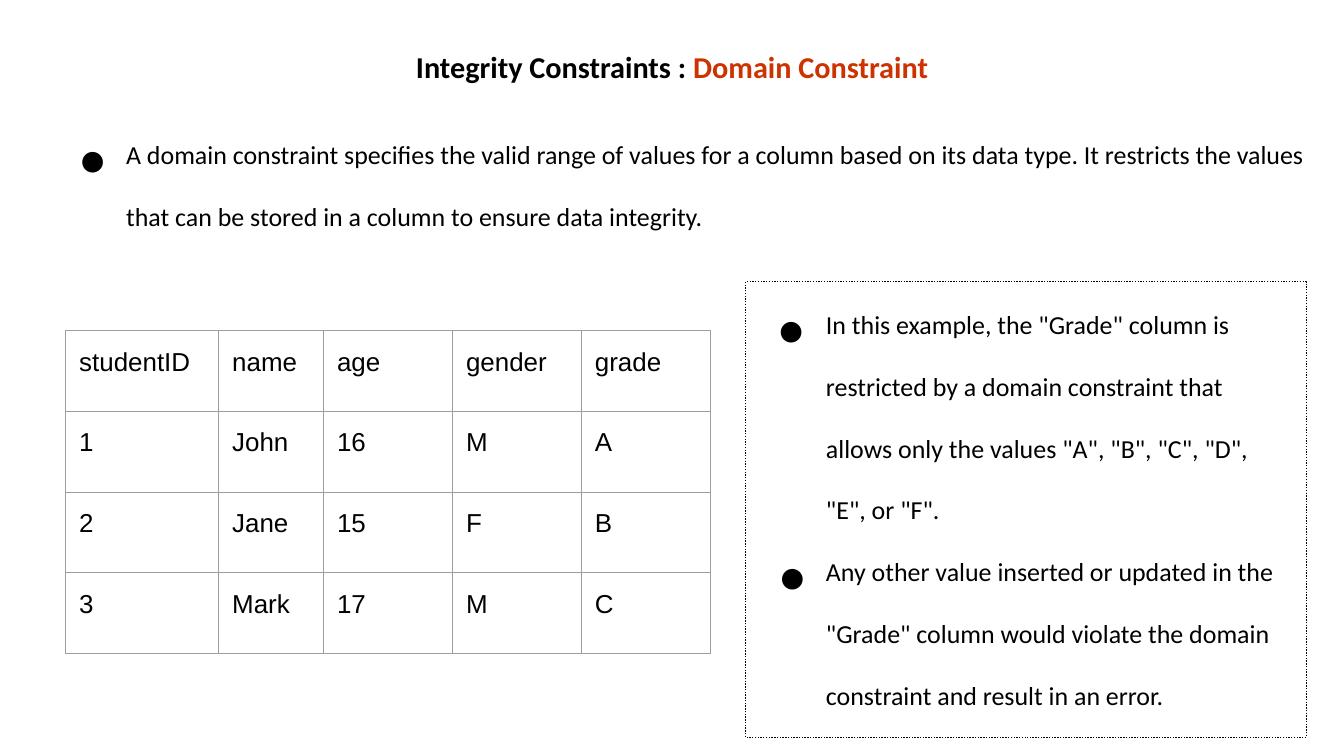
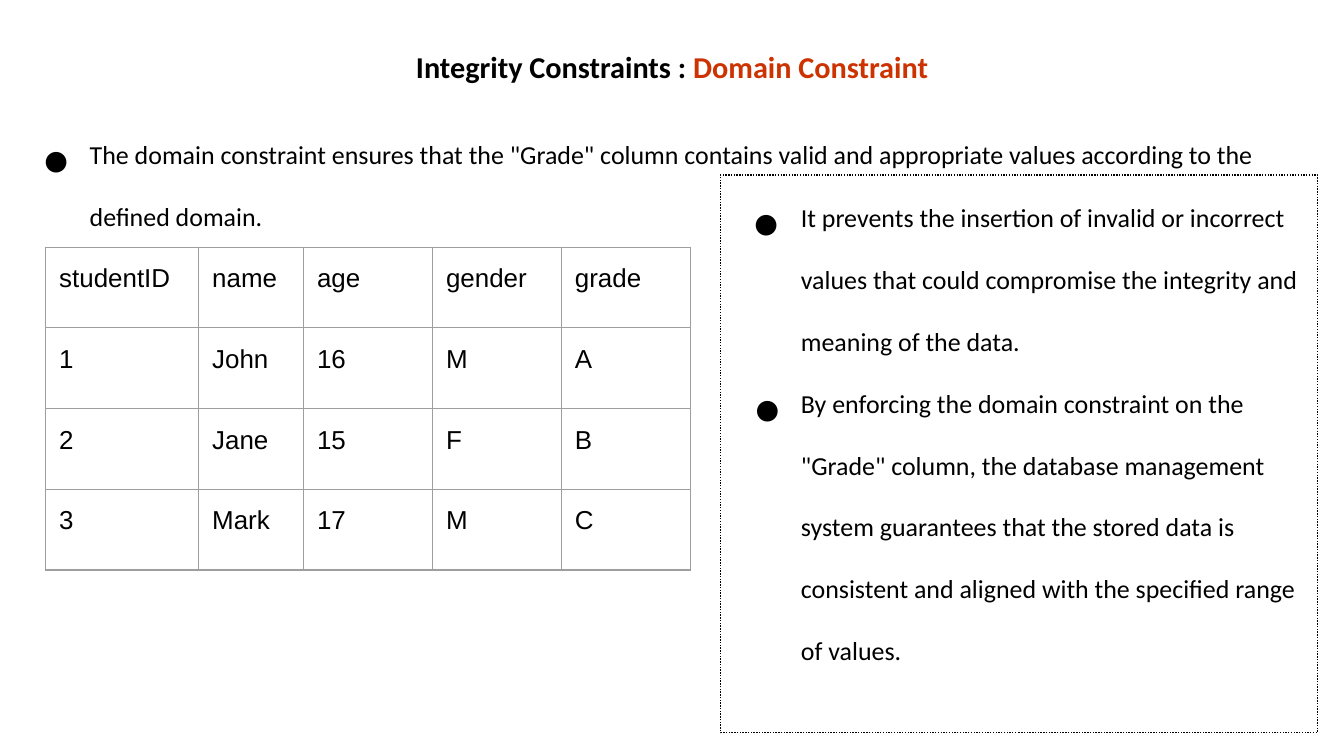
import pptx
import pptx.dml.color
import pptx.enum.dml
import pptx.enum.shapes
import pptx.enum.text
import pptx.oxml
import pptx.oxml.ns
import pptx.util
from lxml import etree

Pt = pptx.util.Pt
RGBColor = pptx.dml.color.RGBColor
Align = pptx.enum.text.PP_ALIGN
Anchor = pptx.enum.text.MSO_ANCHOR

BLACK = RGBColor(0x00, 0x00, 0x00)
RED = RGBColor(0xCC, 0x33, 0x00)
GREY = RGBColor(0x9E, 0x9E, 0x9E)

TITLE = [("Integrity Constraints : ", BLACK), ("Domain Constraint", RED)]
TITLE_AT = (24.5, 15.12, 671, 45.36)

STUDENTS = [
    ("studentID", "name", "age", "gender", "grade"),
    ("1", "John", "16", "M", "A"),
    ("2", "Jane", "15", "F", "B"),
    ("3", "Mark", "17", "M", "C"),
]
COLUMN_WIDTHS = (82, 56.2, 69.1, 69.1, 69.1)
ROW_HEIGHT = 43.2

SLIDES = [
    {
        "intro": "A domain constraint specifies the valid range of values for a column based on "
                 "its data type. It restricts the values that can be stored in a column to "
                 "ensure data integrity.",
        "intro_at": (24.5, 59.8, 687.6, 340.6),
        "table_at": (35.2, 177.2),
        "notes": [
            'In this example, the "Grade" column is restricted by a domain constraint that '
            'allows only the values "A", "B", "C", "D", "E", or "F".',
            'Any other value inserted or updated in the "Grade" column would violate the '
            'domain constraint and result in an error.',
        ],
        "notes_at": (399.4, 150.9, 300.4, 244.2),
    },
    {
        "intro": 'The domain constraint ensures that the "Grade" column contains valid and '
                 'appropriate values according to the defined domain.',
        "intro_at": (5, 59.8, 709.2, 337),
        "table_at": (24.5, 132.4),
        "notes": [
            "It prevents the insertion of invalid or incorrect values that could compromise "
            "the integrity and meaning of the data.",
            'By enforcing the domain constraint on the "Grade" column, the database management '
            'system guarantees that the stored data is consistent and aligned with the '
            'specified range of values.',
        ],
        "notes_at": (386, 93.8, 319.8, 298.8),
    },
]


def add_run(p, text, size=24, name="Calibri", color=BLACK, bold=False):
    """Add a run raised by 30 percent, the style of all text here."""
    r = p.add_run()
    r.text = text
    for key, value in {"size": Pt(size), "name": name, "bold": bold}.items():
        setattr(r.font, key, value)
    r.font.color.rgb = color
    r.font._element.set("baseline", "30000")


def set_frame(tf):
    margins = {f"margin_{side}": Pt(7.2) for side in ("left", "right", "top", "bottom")}
    for key, value in {**margins, "word_wrap": True, "vertical_anchor": Anchor.TOP}.items():
        setattr(tf, key, value)


def add_text_box(s, at):
    tf = s.shapes.add_textbox(*map(Pt, at)).text_frame
    set_frame(tf)
    return tf


def add_bullet(p, text, indent=25.2):
    p.alignment = Align.LEFT
    p.line_spacing = 1.15
    pPr = p._p.get_or_add_pPr()
    pPr.set("marL", str(Pt(36)))
    pPr.set("indent", str(-Pt(indent)))
    bullet_color = etree.SubElement(pPr, pptx.oxml.ns.qn("a:buClr"))
    etree.SubElement(bullet_color, pptx.oxml.ns.qn("a:srgbClr"), val=str(BLACK))
    etree.SubElement(pPr, pptx.oxml.ns.qn("a:buFont"), typeface="Calibri")
    etree.SubElement(pPr, pptx.oxml.ns.qn("a:buChar"), char="●")
    add_run(p, text)


def add_title(s):
    p = add_text_box(s, TITLE_AT).paragraphs[0]
    p.alignment = Align.CENTER
    for text, color in TITLE:
        add_run(p, text, size=28, color=color, bold=True)


def add_borders(cell):
    tcPr = cell._tc.get_or_add_tcPr()
    for side in "LRTB":
        tcPr.append(pptx.oxml.parse_xml(
            f'<a:ln{side} {pptx.oxml.ns.nsdecls("a")} w="{Pt(0.75)}"><a:solidFill>'
            f'<a:srgbClr val="{GREY}"/></a:solidFill><a:prstDash val="solid"/></a:ln{side}>'))


def add_students(s, at):
    size = (sum(COLUMN_WIDTHS), ROW_HEIGHT * len(STUDENTS))
    table = s.shapes.add_table(len(STUDENTS), len(COLUMN_WIDTHS), *map(Pt, at + size)).table
    table.first_row = table.horz_banding = False
    for column, width in zip(table.columns, COLUMN_WIDTHS):
        column.width = Pt(width)
    for row, values in zip(table.rows, STUDENTS):
        row.height = Pt(ROW_HEIGHT)
        for cell, value in zip(row.cells, values):
            for side in ("left", "right", "top", "bottom"):
                setattr(cell, f"margin_{side}", Pt(7.2))
            add_borders(cell)
            cell.fill.background()
            add_run(cell.text_frame.paragraphs[0], value, name="Arial")


def add_notes(s, notes, at):
    """Add the dotted box with its bullets."""
    box = s.shapes.add_shape(pptx.enum.shapes.MSO_SHAPE.RECTANGLE, *map(Pt, at))
    box.shadow.inherit = False
    box.fill.background()
    box.line.color.rgb = BLACK
    box.line.width = Pt(0.75)
    box.line.dash_style = pptx.enum.dml.MSO_LINE.ROUND_DOT
    tf = box.text_frame
    set_frame(tf)
    tf.auto_size = pptx.enum.text.MSO_AUTO_SIZE.SHAPE_TO_FIT_TEXT
    first = tf.paragraphs[0]
    first.space_before = Pt(12)
    add_bullet(first, notes[0], indent=25.9)
    for note in notes[1:]:
        add_bullet(tf.add_paragraph(), note)


def main():
    prs = pptx.Presentation()
    prs.slide_width, prs.slide_height = Pt(720), Pt(405)
    for content in SLIDES:
        s = prs.slides.add_slide(prs.slide_layouts[6])
        add_title(s)
        add_bullet(add_text_box(s, content["intro_at"]).paragraphs[0], content["intro"])
        add_students(s, content["table_at"])
        add_notes(s, content["notes"], content["notes_at"])
    prs.save("out.pptx")


if __name__ == "__main__":
    main()
